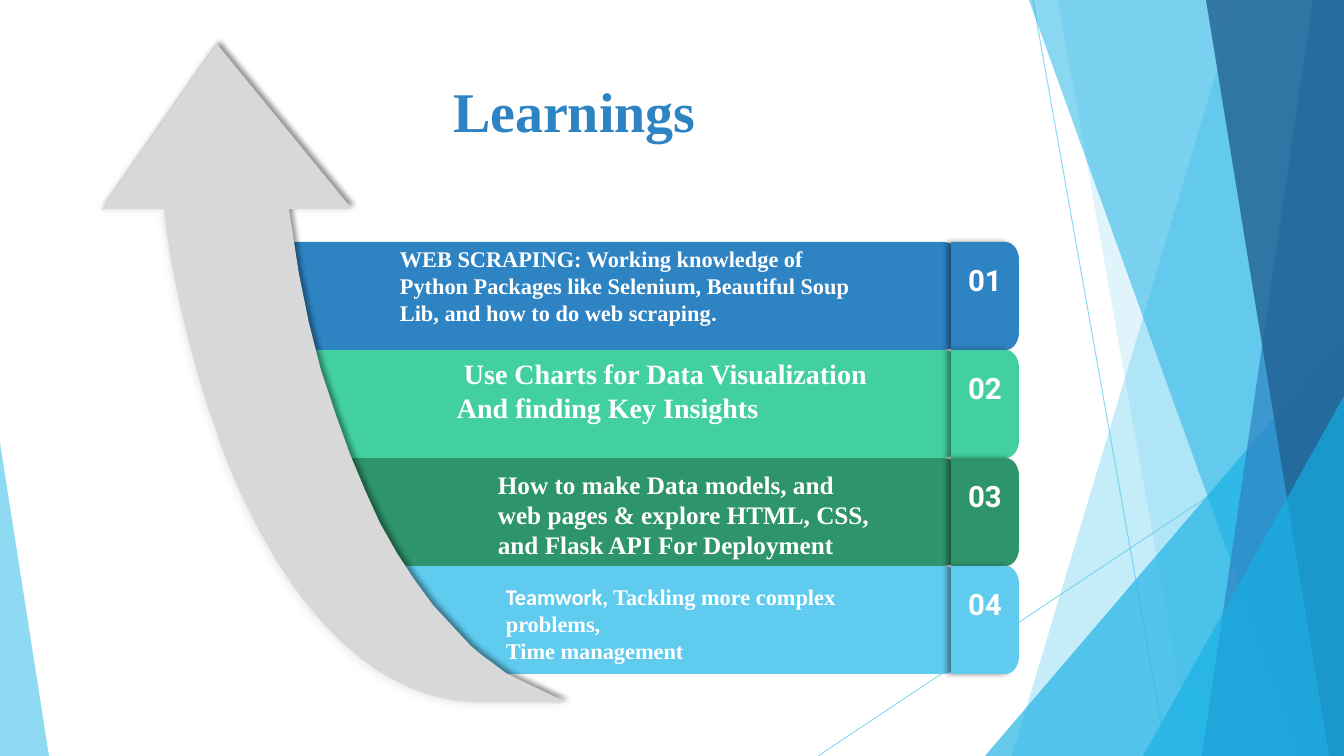
from lxml import etree
from pptx import Presentation
from pptx import util as u
from pptx.dml.color import RGBColor
from pptx.enum import shapes as s, text as t
from pptx.oxml.ns import qn

PX = 914400 / 100.8
WIDE, HIGH = 1344, 756
SERIF, SANS = "Times New Roman", "Roboto"
SKY, AQUA, BLUE, NAVY = "5FCBEF", "17B0E4", "2E83C3", "226292"
MINT, GREEN, WHITE = "42D0A2", "2E946B", "FFFFFF"

# Start points of the slanted bands at top and bottom; each runs to the right edge
BANDS = [(1238, 1012, SKY, 36), (1058, 1192, SKY, 20), (1029, 1301, AQUA, 50),
         (1313, 1202, BLUE, 70), (1206, 1329, NAVY, 80)]
# Left, top, width, apex position, colour, opacity; each stands on the bottom edge
WEDGES = [(985, 336, 359, 1, AQUA, 66), (1143, 396, 201, 1, AQUA, 66),
          (0, 443, 49, 0, SKY, 70)]
RAYS = [(1033, 0, 1167, 756), (1344, 406, 818, 756)]

# Colour, bar left, text box, point size, paragraphs of (words, font) runs
ROWS = [
    (BLUE, 255, (390, 240, 495, 93), 16, [[
        ("WEB SCRAPING: Working knowledge of Python Packages like Selenium, "
         "Beautiful Soup Lib, and how to do web scraping", SERIF), (".", SANS)]]),
    (MINT, 255, (447, 352, 476, 79), 20, [
        [(" Use Charts for Data Visualization", SERIF)],
        [("And finding Key Insights", SERIF)]]),
    (GREEN, 331, (488, 464, 404, 103), 18, [[
        ("How to make Data models, and web pages & explore HTML, CSS, "
         "and Flask API For Deployment", SERIF)]]),
    (SKY, 393, (496, 578, 389, 112), 16, [
        [("Teamwork, ", "Calibri"), ("Tackling more complex problems,", SERIF)],
        [("Time management", SERIF)]]),
]

# Arrow outline: head, three outer curves, then the inner edge back up
HEAD = [(217, 44), (102, 209), (164, 209)]
OUTER = [((168, 245), (174, 279), (182, 313)),
         ((192, 355), (203, 395), (216, 430)),
         ((228, 467), (243, 500), (259, 530)),
         ((316, 638), (394, 702), (477, 702))]
INNER = [(566, 702), (539, 689), (522, 681), (506, 673), (494, 664), (483, 656),
         (471, 646), (458, 632), (433, 605), (414, 579), (397, 553), (380, 523),
         (365, 490), (350, 454), (336, 415), (321, 370), (309, 323), (299, 274),
         (289, 209), (352, 209)]


def px(*nums):
    return [u.Emu(round(n * PX)) for n in nums]


def rgb(code):
    return RGBColor.from_string(code)


def fade(fill, alpha):
    """Make a solid colour partly transparent; alpha is percent opaque."""
    node = fill._xPr.find(".//" + qn("a:srgbClr"))
    etree.SubElement(node, qn("a:alpha"), val=str(alpha * 1000))


def paint(shape, code, alpha=100):
    shape.shadow.inherit = False
    shape.line.fill.background()
    shape.fill.solid()
    shape.fill.fore_color.rgb = rgb(code)
    if alpha < 100:
        fade(shape.fill, alpha)
    return shape


def shade(shape, alpha, blur, dist, angle):
    """Add an outer shadow; blur and dist in points."""
    node = etree.SubElement(
        shape._element.spPr.find(qn("a:effectLst")), qn("a:outerShdw"),
        blurRad=str(u.Pt(blur)), dist=str(u.Pt(dist)),
        dir=str(angle * 60000), rotWithShape="0")
    tint = etree.SubElement(node, qn("a:srgbClr"), val="000000")
    etree.SubElement(tint, qn("a:alpha"), val=str(alpha * 1000))


def curve(a, b, c, d, steps=12):
    """Points along a cubic curve, leaving out its start."""
    out = []
    for k in range(1, steps + 1):
        f = k / steps
        g = 1 - f
        out.append(tuple(g**3 * p + 3 * g * g * f * q + 3 * g * f * f * r + f**3 * e
                         for p, q, r, e in zip(a, b, c, d)))
    return out


def outline(slide, points):
    """Closed freeform, drawn in tenths of a px."""
    fine = [(x * 10, y * 10) for x, y in points]
    pen = slide.shapes.build_freeform(*fine[0], scale=PX / 10)
    pen.add_line_segments(fine[1:], close=True)
    return pen.convert_to_shape()


def write(shape, paras, size, code, align=t.PP_ALIGN.LEFT):
    frame = shape.text_frame
    looks = {"word_wrap": True, "auto_size": t.MSO_AUTO_SIZE.NONE,
             "vertical_anchor": t.MSO_ANCHOR.TOP}
    for key, val in looks.items():
        setattr(frame, key, val)
    for i, runs in enumerate(paras):
        para = frame.add_paragraph() if i else frame.paragraphs[0]
        para.alignment = align
        for words, face in runs:
            run = para.add_run()
            run.text = words
            for key, val in {"name": face, "size": u.Pt(size), "bold": True}.items():
                setattr(run.font, key, val)
            run.font.color.rgb = rgb(code)


def backdrop(slide):
    for ray in RAYS:
        line = slide.shapes.add_connector(s.MSO_CONNECTOR.STRAIGHT, *px(*ray))
        line.line.width = u.Pt(0.75)
        line.line.color.rgb = rgb(SKY)
        fade(line.line.fill, 70)
        etree.SubElement(line._element.spPr, qn("a:effectLst"))

    def band(top, base, code, alpha):
        edge = [(top, 0), (WIDE, 0), (WIDE, HIGH), (base, HIGH)]
        paint(outline(slide, edge), code, alpha)

    def wedge(x, y, w, apex, code, alpha):
        tri = slide.shapes.add_shape(s.MSO_SHAPE.ISOSCELES_TRIANGLE,
                                     *px(x, y, w, HIGH - y))
        tri.adjustments[0] = apex
        paint(tri, code, alpha)

    for item in BANDS[:2]:
        band(*item)
    wedge(*WEDGES[0])
    for item in BANDS[2:]:
        band(*item)
    for item in WEDGES[1:]:
        wedge(*item)


def arrow(slide, dx, dy, code, shadow):
    points = list(HEAD)
    for bend in OUTER:
        points += curve(points[-1], *bend)
    points += INNER
    shape = outline(slide, [(x + dx, y + dy) for x, y in points])
    shade(paint(shape, code), *shadow)


def bar(slide, x, y, w, h, code):
    shape = slide.shapes.add_shape(s.MSO_SHAPE.ROUNDED_RECTANGLE, *px(x, y, w, h))
    shape.adjustments[0] = 0.17
    paint(shape, code)


def tab(slide, x, y, w, h, code):
    """Number tab, rounded on its right side."""
    rx, ry = 14, 18
    right, base = x + w, y + h
    edge = [(x, y), (right - rx, y)]
    edge += curve(edge[-1], (right - 6, y), (right, y + 8), (right, y + ry))
    edge.append((right, base - ry))
    edge += curve(edge[-1], (right, base - 8), (right - 6, base), (right - rx, base))
    edge.append((x, base))
    shade(paint(outline(slide, edge), code), 40, 4, 3, 180)


def ladder(slide, top, step):
    """Four bars passing behind the arrow, with tabs and words on top."""
    rows = [(top + i * step, *row) for i, row in enumerate(ROWS)]
    arrow(slide, -2, 2, "F2F2F2", (8, 6, 0, 0))
    for y, code, left, *_ in reversed(rows):
        bar(slide, left, y, 962 - left, step, code)
    arrow(slide, 0, 0, "D8D8D8", (40, 4, 3, 315))
    for y, code, *_ in rows:
        tab(slide, 951, y, 68, step, code)
    for i, (y, code, left, box, size, paras) in enumerate(rows, 1):
        write(slide.shapes.add_textbox(*px(*box)), paras, size, WHITE)
        num = slide.shapes.add_textbox(*px(942, y + 15, 86, 74))
        write(num, [[(f"{i:02}", SANS)]], 21, WHITE, t.PP_ALIGN.CENTER)


def heading(slide, x, y, w, h):
    title = slide.shapes.title
    title.left, title.top, title.width, title.height = px(x, y, w, h)
    write(title, [[("Learnings", SERIF)]], 40, BLUE)


def main():
    deck = Presentation()
    deck.slide_width, deck.slide_height = px(WIDE, HIGH)
    slide = deck.slides.add_slide(deck.slide_layouts.get_by_name("Title Only"))
    backdrop(slide)
    ladder(slide, 242, 108)
    heading(slide, 443, 71, 300, 78)
    deck.save("out.pptx")


if __name__ == "__main__":
    main()
